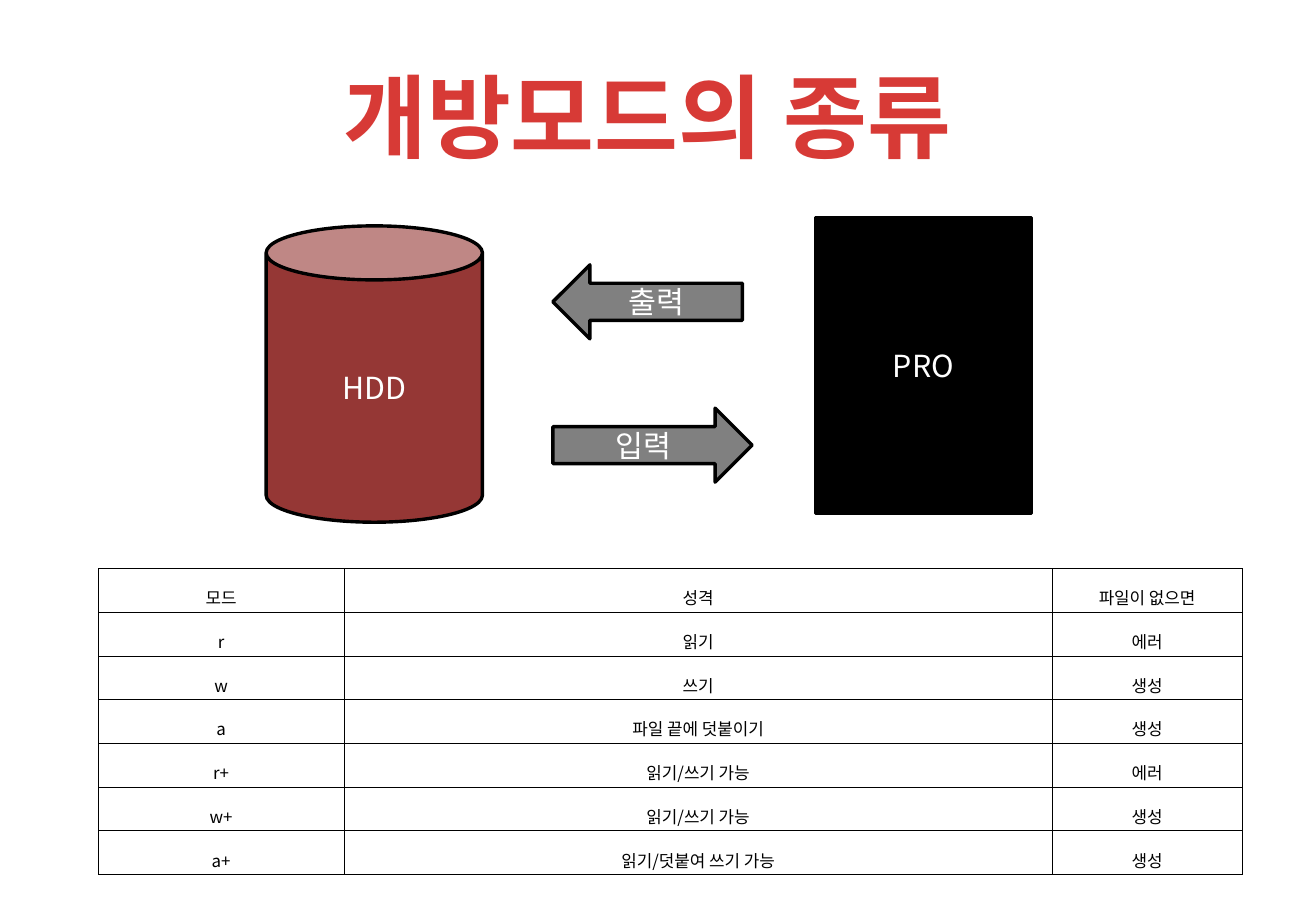
from lxml.etree import SubElement
from pptx import Presentation
from pptx.dml.color import RGBColor
from pptx.enum.shapes import MSO_SHAPE
from pptx.enum.text import MSO_ANCHOR, MSO_AUTO_SIZE, PP_ALIGN
from pptx.oxml import parse_xml
from pptx.oxml.ns import nsdecls, qn
from pptx.util import Inches, Pt

FONT = "Noto Sans CJK KR"
HUES = {"title": "D73A36", "disk": "953735", "arrow": "808080",
        "black": "000000", "white": "FFFFFF"}
CELL = 0.1  # inches per grid unit

# Boxes are left, top, width, height in grid units
HEAD = (24.4, 4.4, 57.7, 10.1)
FLOW = (21.9, 17.9, 63, 25.1)
MODES = (8.1, 46.8, 94.1, 25.2)

PARTS = [
    ("HDD", MSO_SHAPE.CAN, "disk", (0, 0.7, 17.8, 24.4)),
    ("PRO", MSO_SHAPE.RECTANGLE, "black", (45.2, 0, 17.8, 24.4)),
    ("입력", MSO_SHAPE.RIGHT_ARROW, "arrow", (23.6, 15.7, 16.4, 6.1)),
    ("출력", MSO_SHAPE.LEFT_ARROW, "arrow", (23.6, 3.9, 15.6, 6.1)),
]
COLS = (20.2, 58.3, 15.6)
ROWS = [
    ("모드", "성격", "파일이 없으면"),
    ("r", "읽기", "에러"),
    ("w", "쓰기", "생성"),
    ("a", "파일 끝에 덧붙이기", "생성"),
    ("r+", "읽기/쓰기 가능", "에러"),
    ("w+", "읽기/쓰기 가능", "생성"),
    ("a+", "읽기/덧붙여 쓰기 가능", "생성"),
]


def grid(n):
    return Inches(n * CELL)


def hue(name):
    return RGBColor.from_string(HUES[name])


def apply(item, form):
    for key, value in form.items():
        setattr(item, key, value)


def write(frame, text, size, color, bold=False, **form):
    """Fill a text frame with one centred paragraph."""
    para = frame.paragraphs[0]
    apply(para, {"alignment": PP_ALIGN.CENTER, **form})
    run = para.add_run()
    run.text = text
    apply(run.font, {"size": Pt(size), "name": FONT, "bold": bold})
    run.font.color.rgb = hue(color)
    SubElement(run.font._element, qn("a:ea"), typeface=FONT)


def add_head(slide, box):
    title = slide.shapes.title
    apply(title, dict(zip(("left", "top", "width", "height"), map(grid, box))))
    apply(title.text_frame, {"word_wrap": False, "auto_size": MSO_AUTO_SIZE.NONE,
                             "vertical_anchor": MSO_ANCHOR.MIDDLE})
    write(title.text_frame, "개방모드의 종류", 54, "title", True)


def add_flow(slide, box):
    left, top = box[:2]
    for text, kind, fill, (x, y, wide, high) in PARTS:
        shape = slide.shapes.add_shape(
            kind, *map(grid, (left + x, top + y, wide, high)))
        shape.shadow.inherit = False
        shape.fill.solid()
        shape.fill.fore_color.rgb = hue(fill)
        shape.line.color.rgb = hue("black")
        shape.line.width = Pt(2)
        shape.text_frame.vertical_anchor = MSO_ANCHOR.MIDDLE
        write(shape.text_frame, text, 18, "white")


def add_rules(cell):
    """Draw a thin line on each side of a cell."""
    for i, side in enumerate("LRTB"):
        cell._tc.get_or_add_tcPr().insert(i, parse_xml(
            f'<a:ln{side} {nsdecls("a")} w="{Pt(0.28)}"><a:solidFill>'
            f'<a:srgbClr val="{HUES["black"]}"/></a:solidFill></a:ln{side}>'))


def add_modes(slide, box):
    table = slide.shapes.add_table(len(ROWS), len(COLS), *map(grid, box)).table
    apply(table, {"first_row": False, "horz_banding": False})
    for col, wide in zip(table.columns, COLS):
        col.width = grid(box[2] * wide / sum(COLS))
    form = {"vertical_anchor": MSO_ANCHOR.MIDDLE,
            "margin_left": Inches(0.08), "margin_right": Inches(0.08),
            "margin_top": Inches(0.02), "margin_bottom": Inches(0.02)}
    for row, texts in zip(table.rows, ROWS):
        row.height = grid(box[3] / len(ROWS))
        for cell, text in zip(row.cells, texts):
            apply(cell, form)
            cell.fill.background()
            add_rules(cell)
            write(cell.text_frame, text, 10, "black", line_spacing=1.6)


def main():
    deck = Presentation()
    apply(deck, {"slide_width": Inches(10.83), "slide_height": Inches(7.5)})
    slide = deck.slides.add_slide(deck.slide_layouts[5])
    add_modes(slide, MODES)
    add_head(slide, HEAD)
    add_flow(slide, FLOW)
    deck.save("out.pptx")


if __name__ == "__main__":
    main()
